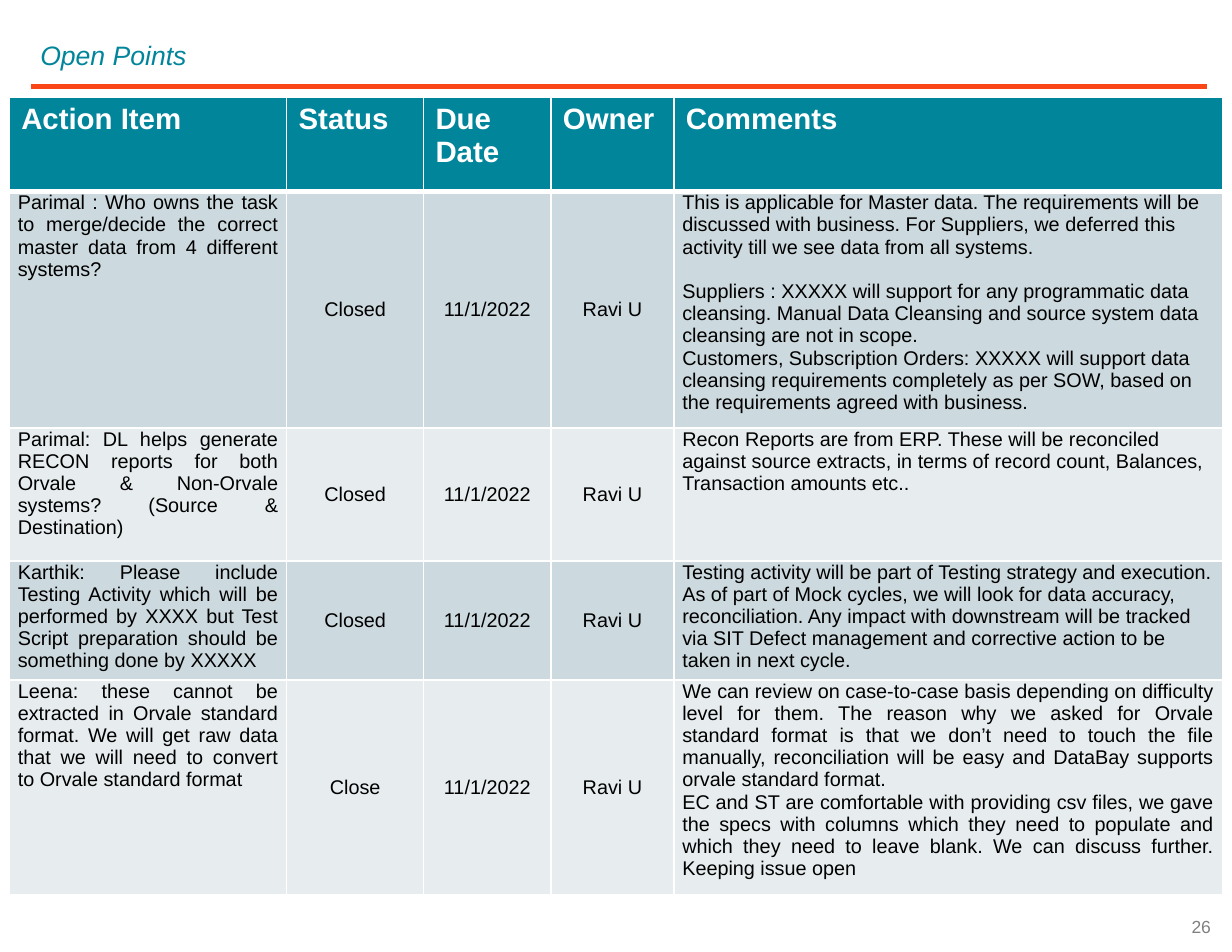
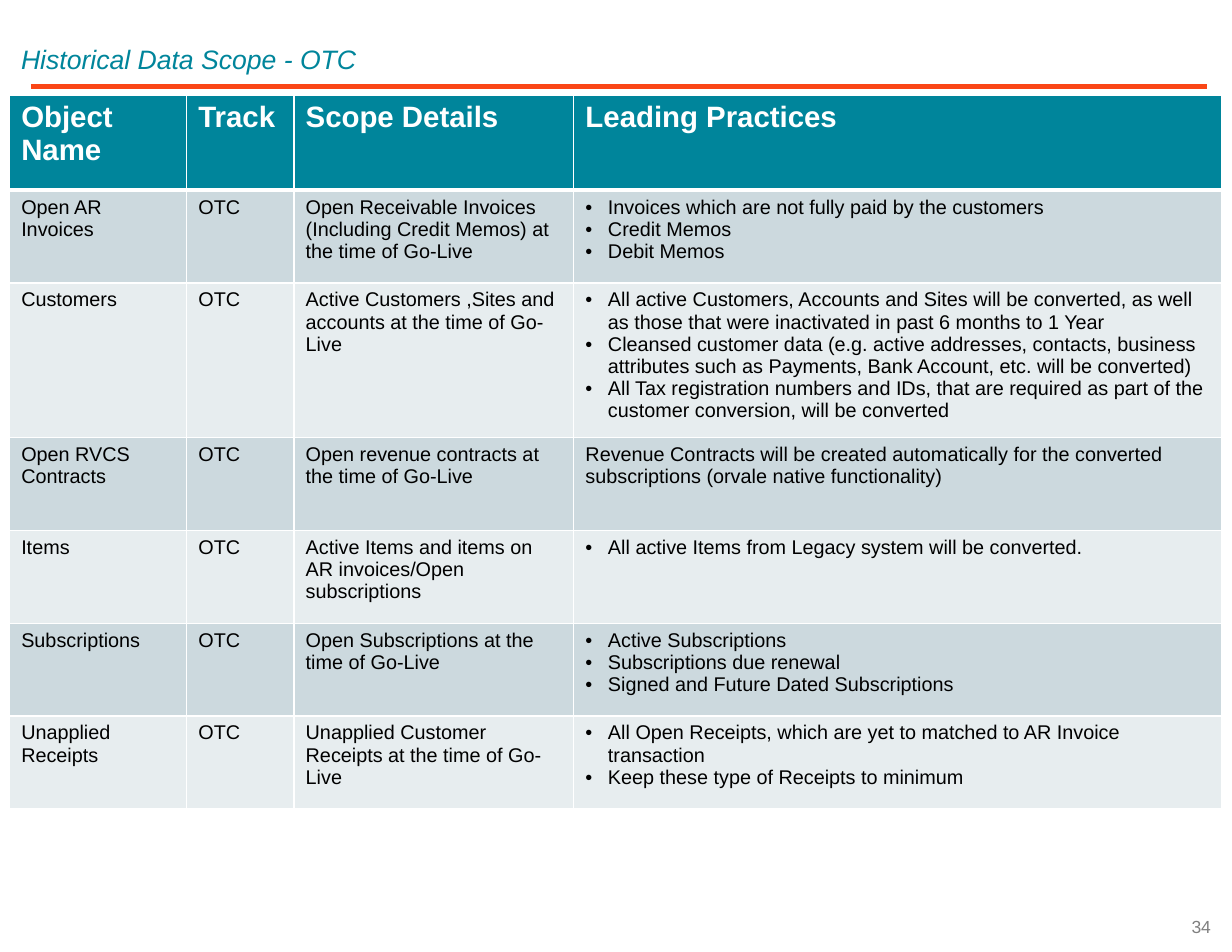
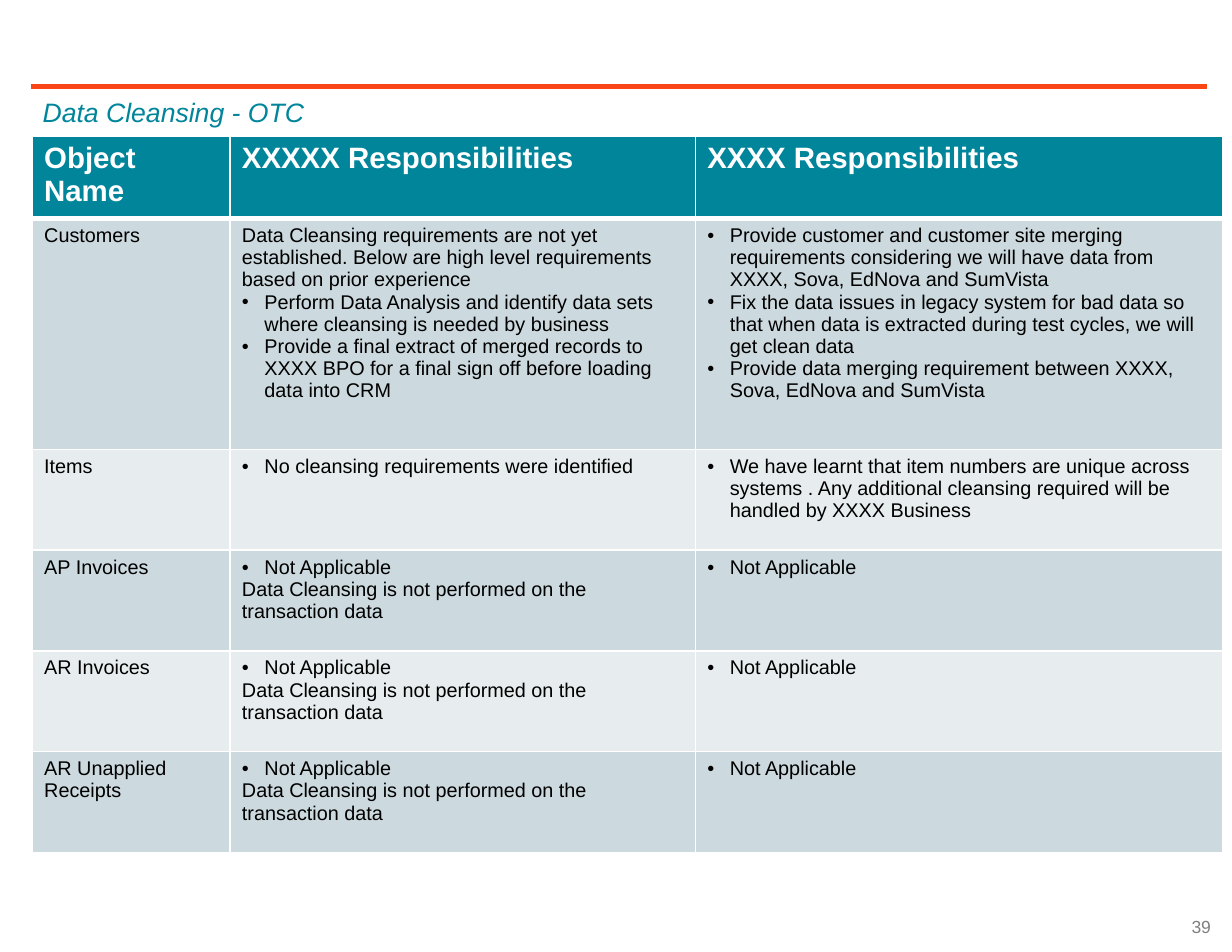
from dataclasses import dataclass

from lxml.etree import SubElement
from pptx import Presentation
from pptx.dml.color import RGBColor
from pptx.enum.shapes import MSO_CONNECTOR
from pptx.enum.text import MSO_ANCHOR, PP_ALIGN
from pptx.oxml import parse_xml
from pptx.oxml.ns import nsdecls, qn
from pptx.util import Cm, Pt


@dataclass(frozen=True)
class Theme:
    font: str = "Arial"
    teal: str = "00859B"
    orange: str = "FA4616"
    gray: str = "808080"
    white: str = "FFFFFF"
    black: str = "000000"
    bands: tuple = ("CCD9DE", "E7EDEF")
    title_size: float = 16.1
    header_size: float = 17.8
    body_size: float = 12
    number_size: float = 10.6
    rule_width: float = 3
    border: float = 1
    header_border: float = 3


THEME = Theme()
BULLET = "• "
BULLET_INDENT = Cm(0.48)
ALIGNMENTS = {"l": PP_ALIGN.LEFT, "c": PP_ALIGN.CENTER, "j": PP_ALIGN.JUSTIFY, "r": PP_ALIGN.RIGHT}

NOT_PERFORMED = ["• Not Applicable", "Data Cleansing is not performed on the transaction data"]
NOT_APPLICABLE = "• Not Applicable"

PAGES = [
    {
        "title": "Open Points",
        "title_at": (0.61, 0.56),
        "number": "26",
        "table_at": (0.2, 2.08),
        "columns": [5.92, 2.92, 2.72, 2.62, 11.71],
        "heights": [2.01, 4.72, 2.84, 2.37, 4.25],
        "alignments": "jcccl",
        "justified": {(4, 4)},
        "gap_before": {(1, 4, 1)},
        "tight": True,
        "header": ["Action Item", "Status", "Due Date", "Owner", "Comments"],
        "rows": [
            [
                "Parimal : Who owns the task to merge/decide the correct master data from 4 different systems?",
                "Closed", "11/1/2022", "Ravi U",
                [
                    "This is applicable for Master data. The requirements will be discussed with business. "
                    "For Suppliers, we deferred this activity till we see data from all systems.",
                    "Suppliers : XXXXX will support for any programmatic data cleansing. "
                    "Manual Data Cleansing and source system data cleansing are not in scope.",
                    "Customers, Subscription Orders: XXXXX will support data cleansing requirements "
                    "completely as per SOW, based on the requirements agreed with business.",
                ],
            ],
            [
                "Parimal: DL helps generate RECON reports for both Orvale & Non-Orvale systems? "
                "(Source & Destination)",
                "Closed", "11/1/2022", "Ravi U",
                "Recon Reports are from ERP. These will be reconciled against source extracts, "
                "in terms of record count, Balances, Transaction amounts etc..",
            ],
            [
                "Karthik: Please include Testing Activity which will be performed by XXXX but "
                "Test Script preparation should be something done by XXXXX",
                "Closed", "11/1/2022", "Ravi U",
                "Testing activity will be part of Testing strategy and execution. As of part of Mock "
                "cycles, we will look for data accuracy, reconciliation. Any impact with downstream "
                "will be tracked via SIT Defect management and corrective action to be taken in next cycle.",
            ],
            [
                "Leena: these cannot be extracted in Orvale standard format. We will get raw data "
                "that we will need to convert to Orvale standard format",
                "Close", "11/1/2022", "Ravi U",
                [
                    "We can review on case-to-case basis depending on difficulty level for them. "
                    "The reason why we asked for Orvale standard format is that we don’t need to touch "
                    "the file manually, reconciliation will be easy and DataBay supports orvale standard format.",
                    "EC and ST are comfortable with providing csv files, we gave the specs with columns "
                    "which they need to populate and which they need to leave blank. "
                    "We can discuss further. Keeping issue open",
                ],
            ],
        ],
    },
    {
        "title": "Historical Data Scope - OTC",
        "title_at": (0.2, 0.66),
        "number": "34",
        "table_at": (0.2, 2.03),
        "columns": [3.78, 2.29, 5.97, 13.84],
        "heights": [2.03, 1.98, 3.1, 1.98, 1.98, 1.98, 1.98],
        "header": ["Object Name", "Track", "Scope Details", "Leading Practices"],
        "rows": [
            [
                "Open AR Invoices", "OTC",
                "Open Receivable Invoices (Including Credit Memos) at the time of Go-Live",
                ["• Invoices which are not fully paid by the customers", "• Credit Memos", "• Debit Memos"],
            ],
            [
                "Customers", "OTC",
                "Active Customers ,Sites and accounts at the time of Go-Live",
                [
                    "• All active Customers, Accounts and Sites will be converted, as well as those "
                    "that were inactivated in past 6 months to 1 Year",
                    "• Cleansed customer data (e.g. active addresses, contacts, business attributes "
                    "such as Payments, Bank Account, etc. will be converted)",
                    "• All Tax registration numbers and IDs, that are required as part of the "
                    "customer conversion, will be converted",
                ],
            ],
            [
                "Open RVCS Contracts", "OTC",
                "Open revenue contracts at the time of Go-Live",
                "Revenue Contracts will be created automatically for the converted subscriptions "
                "(orvale native functionality)",
            ],
            [
                "Items", "OTC",
                "Active Items and items on AR invoices/Open subscriptions",
                "• All active Items from Legacy system will be converted.",
            ],
            [
                "Subscriptions", "OTC",
                "Open Subscriptions at the time of Go-Live",
                ["• Active Subscriptions", "• Subscriptions due renewal",
                 "• Signed and Future Dated Subscriptions"],
            ],
            [
                "Unapplied Receipts", "OTC",
                "Unapplied Customer Receipts at the time of Go-Live",
                ["• All Open Receipts, which are yet to matched to AR Invoice transaction",
                 "• Keep these type of Receipts to minimum"],
            ],
        ],
    },
    {
        "title": "Data Cleansing - OTC",
        "title_at": (0.66, 1.78),
        "number": "39",
        "table_at": (0.69, 2.9),
        "columns": [4.22, 9.93, 11.25],
        "heights": [1.65, 4.93, 2.15, 2.15, 2.15, 2.15],
        "header": ["Object Name", "XXXXX Responsibilities", "XXXX Responsibilities"],
        "rows": [
            [
                "Customers",
                [
                    "Data Cleansing requirements are not yet established. "
                    "Below are high level requirements based on prior experience",
                    "• Perform Data Analysis and identify data sets where cleansing is needed by business",
                    "• Provide a final extract of merged records to XXXX BPO for a final sign off "
                    "before loading data into CRM",
                ],
                [
                    "• Provide customer and customer site merging requirements considering we will "
                    "have data from XXXX, Sova, EdNova and SumVista",
                    "• Fix the data issues in legacy system for bad data so that when data is "
                    "extracted during test cycles, we will get clean data",
                    "• Provide data merging requirement between XXXX, Sova, EdNova and SumVista",
                ],
            ],
            [
                "Items",
                "• No cleansing requirements were identified",
                "• We have learnt that item numbers are unique across systems . "
                "Any additional cleansing required will be handled by XXXX Business",
            ],
            ["AP Invoices", NOT_PERFORMED, NOT_APPLICABLE],
            ["AR Invoices", NOT_PERFORMED, NOT_APPLICABLE],
            ["AR Unapplied Receipts", NOT_PERFORMED, NOT_APPLICABLE],
        ],
    },
]


def add_span(para, text, size, color, bold=False, italic=False):
    span = para.add_run()
    span.text = text
    span.font.name = THEME.font
    span.font.size = Pt(size)
    span.font.bold = bold
    span.font.italic = italic
    span.font.color.rgb = RGBColor.from_string(color)


def add_box(page, left, top, width, height):
    box = page.shapes.add_textbox(Cm(left), Cm(top), Cm(width), Cm(height))
    box.text_frame.word_wrap = True
    return box.text_frame


def add_frame(page, content):
    rule = page.shapes.add_connector(MSO_CONNECTOR.STRAIGHT, Cm(0.66), Cm(1.85), Cm(25.76), Cm(1.85))
    rule.line.color.rgb = RGBColor.from_string(THEME.orange)
    rule.line.width = Pt(THEME.rule_width)
    SubElement(rule._element.spPr, qn("a:effectLst"))

    title = add_box(page, *content["title_at"], 25.1, 1.12).paragraphs[0]
    title.line_spacing = 1.2
    add_span(title, content["title"], THEME.title_size, THEME.teal, italic=True)

    footer = add_box(page, 20.17, 19.23, 5.92, 1.09)
    footer.vertical_anchor = MSO_ANCHOR.MIDDLE
    footer.paragraphs[0].alignment = PP_ALIGN.RIGHT
    add_span(footer.paragraphs[0], content["number"], THEME.number_size, THEME.gray)


def set_borders(cell, row):
    widths = {
        "lnL": THEME.border,
        "lnR": THEME.border,
        "lnT": THEME.header_border if row == 1 else THEME.border,
        "lnB": THEME.header_border if row == 0 else THEME.border,
    }
    properties = cell._tc.get_or_add_tcPr()
    for position, (tag, width) in enumerate(widths.items()):
        properties.insert(position, parse_xml(
            f'<a:{tag} {nsdecls("a")} w="{Pt(width)}"><a:solidFill>'
            f'<a:srgbClr val="{THEME.white}"/></a:solidFill></a:{tag}>'))


def set_bullet(para):
    properties = para._p.get_or_add_pPr()
    properties.set("marL", str(BULLET_INDENT))
    properties.set("indent", str(-BULLET_INDENT))
    SubElement(properties, qn("a:buFont")).set("typeface", THEME.font)
    SubElement(properties, qn("a:buChar")).set("char", BULLET.strip())


def fill_cell(cell, row, column, value, content):
    is_header = row == 0
    cell.fill.solid()
    cell.fill.fore_color.rgb = RGBColor.from_string(
        THEME.teal if is_header else THEME.bands[(row - 1) % 2])
    set_borders(cell, row)

    alignment = "l" if is_header else content.get("alignments", "l" * len(content["columns"]))[column]
    if (row, column) in content.get("justified", ()):
        alignment = "j"
    if alignment == "c":
        cell.vertical_anchor = MSO_ANCHOR.MIDDLE
    if content.get("tight") and not is_header:
        cell.margin_left = cell.margin_right = Cm(0.18)
        cell.margin_top = cell.margin_bottom = 0

    lines = [value] if isinstance(value, str) else value
    for index, line in enumerate(lines):
        para = cell.text_frame.paragraphs[0] if index == 0 else cell.text_frame.add_paragraph()
        para.alignment = ALIGNMENTS[alignment]
        if (row, column, index) in content.get("gap_before", ()):
            para.space_before = Pt(13.4)
        if line.startswith(BULLET):
            set_bullet(para)
        if is_header:
            add_span(para, line, THEME.header_size, THEME.white, bold=True)
        else:
            add_span(para, line.removeprefix(BULLET), THEME.body_size, THEME.black)


def add_grid(page, content):
    columns, heights = content["columns"], content["heights"]
    left, top = content["table_at"]
    grid = page.shapes.add_table(
        len(heights), len(columns), Cm(left), Cm(top), Cm(sum(columns)), Cm(sum(heights))).table
    grid.horz_banding = False
    for column, width in zip(grid.columns, columns):
        column.width = Cm(width)
    for row, height in zip(grid.rows, heights):
        row.height = Cm(height)
    for row, values in enumerate([content["header"], *content["rows"]]):
        for column, value in enumerate(values):
            fill_cell(grid.cell(row, column), row, column, value, content)


def main():
    deck = Presentation()
    deck.slide_width, deck.slide_height = Cm(26.29), Cm(20.32)
    for content in PAGES:
        page = deck.slides.add_slide(deck.slide_layouts[6])
        add_frame(page, content)
        add_grid(page, content)
    deck.save("out.pptx")


if __name__ == "__main__":
    main()
